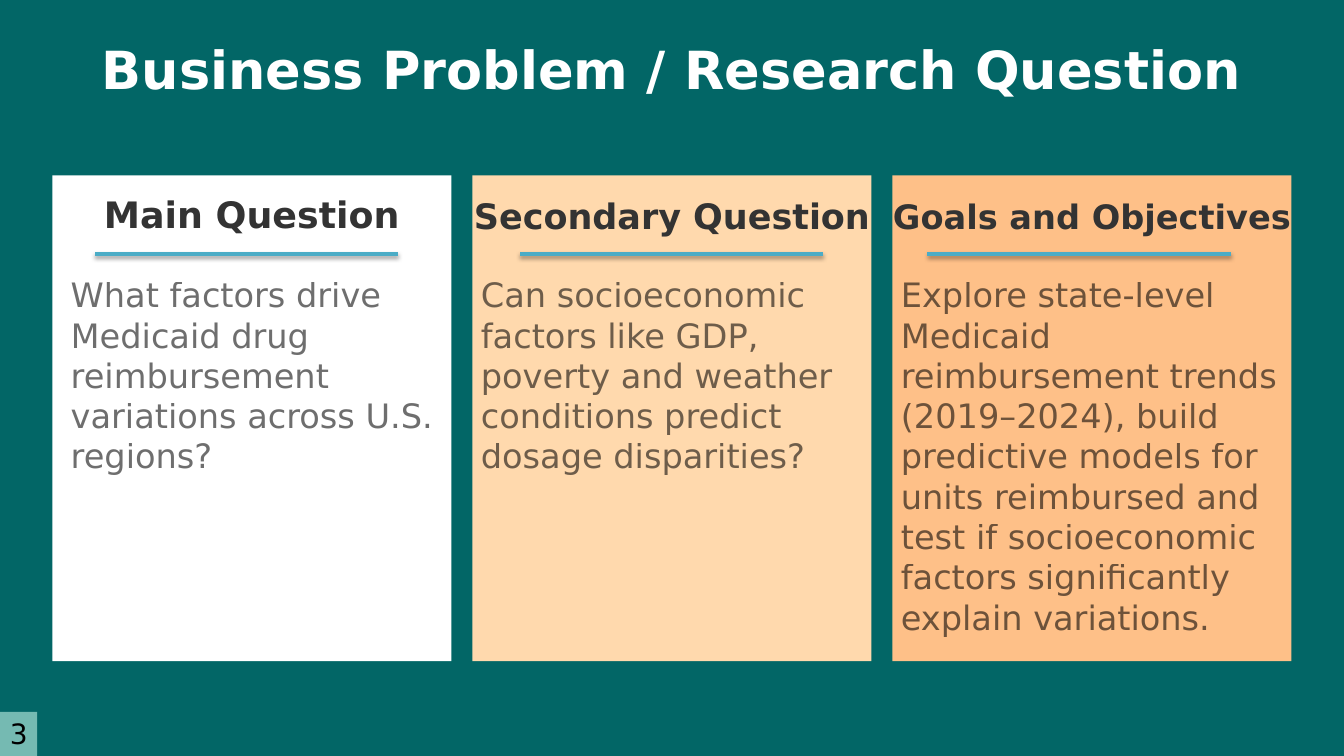
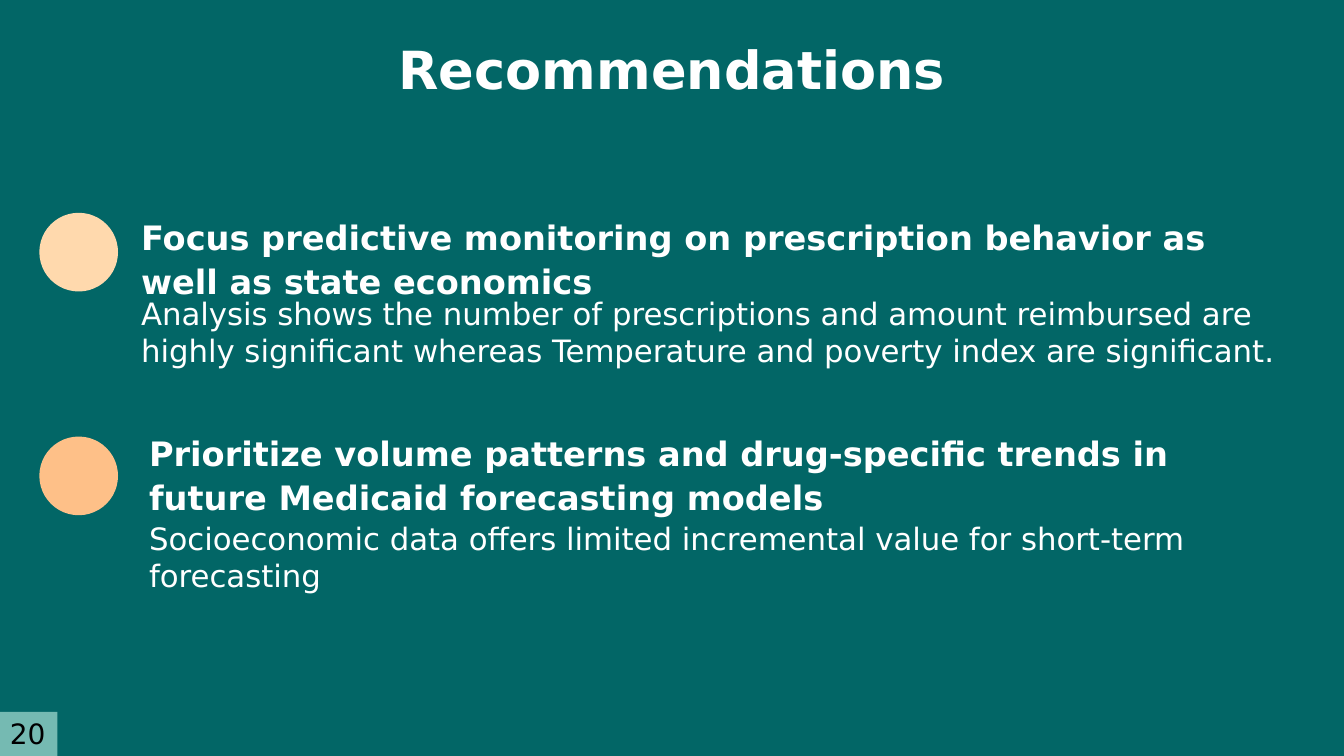
"""Build the research question and recommendations slides."""
from lxml.etree import SubElement
from pptx import Presentation
from pptx.dml.color import RGBColor
from pptx.enum.shapes import MSO_CONNECTOR, MSO_SHAPE
from pptx.enum.text import PP_ALIGN
from pptx.oxml.ns import qn
from pptx.util import Pt

FONT = "DejaVu Sans"
WIDTH, HEIGHT = 960, 540
COLORS = {
    "back": "026666", "white": "FFFFFF", "peach": "FFD9AD",
    "orange": "FEC088", "dark": "333333", "black": "000000",
    "rule": "4BACC6", "badge": "75BAB2",
}
PANEL_LEFT, PANEL_TOP, PANEL_WIDTH, PANEL_HEIGHT = 37.5, 125.3, 285, 347
PANEL_STEP = 300
RULE_TOP, RULE_WIDTH = 181.4, 216.5
DOT_LEFT, DOT_SIZE = 28.1, 56.2

PANELS = [
    ("white", "Main Question", 26, 13, 68,
     "What factors drive Medicaid drug reimbursement variations across "
     "U.S. regions?"),
    ("peach", "Secondary Question", 25, 6, 371.5,
     "Can socioeconomic factors like GDP, poverty and weather conditions "
     "predict dosage disparities?"),
    ("orange", "Goals and Objectives", 24, 6, 662.5,
     "Explore state-level Medicaid reimbursement trends (2019–2024), build "
     "predictive models for units reimbursed and test if socioeconomic "
     "factors significantly explain variations."),
]
ADVICE = [
    ("peach", 152, 100.8, 817, 152, 210.2,
     "Focus predictive monitoring on prescription behavior as well as state "
     "economics",
     "Analysis shows the number of prescriptions and amount reimbursed are "
     "highly significant whereas Temperature and poverty index are "
     "significant."),
    ("orange", 311.8, 106.5, 803, 306.7, 371.5,
     "Prioritize volume patterns and drug-specific trends in future Medicaid "
     "forecasting models",
     "Socioeconomic data offers limited incremental value for short-term "
     "forecasting"),
]


def paint(fill, color):
    fill.solid()
    fill.fore_color.rgb = RGBColor.from_string(COLORS[color])


def add_text(slide, box, text, size, color, bold=False, center=False,
             line=None, alpha=None):
    shape = slide.shapes.add_textbox(*map(Pt, box))
    frame = shape.text_frame
    frame.word_wrap = True
    frame.margin_left = frame.margin_right = 0
    frame.margin_top = frame.margin_bottom = 0
    frame.text = text
    para = frame.paragraphs[0]
    para.alignment = PP_ALIGN.CENTER if center else PP_ALIGN.LEFT
    if line:
        para.line_spacing = Pt(line)
    font = para.runs[0].font
    font.name, font.size, font.bold = FONT, Pt(size), bold
    paint(font.fill, color)
    if alpha:
        add_alpha(font._element.find(".//" + qn("a:srgbClr")), alpha)
    return shape


def add_alpha(node, percent):
    SubElement(node, qn("a:alpha"), val=str(percent * 1000))


def add_block(slide, kind, box, color):
    shape = slide.shapes.add_shape(kind, *map(Pt, box))
    shape.shadow.inherit = False
    paint(shape.fill, color)
    shape.line.fill.background()


def add_rule(slide, left):
    rule = slide.shapes.add_connector(
        MSO_CONNECTOR.STRAIGHT, Pt(left), Pt(RULE_TOP),
        Pt(left + RULE_WIDTH), Pt(RULE_TOP))
    rule.line.width = Pt(3)
    paint(rule.line.fill, "rule")
    effects = SubElement(rule._element.spPr, qn("a:effectLst"))
    shadow = SubElement(
        effects, qn("a:outerShdw"), blurRad=str(Pt(3.1)), dist=str(Pt(1.8)),
        dir="5400000", rotWithShape="0")
    add_alpha(SubElement(shadow, qn("a:srgbClr"), val=COLORS["black"]), 35)


def add_slide(deck, title, number, width):
    slide = deck.slides.add_slide(deck.slide_layouts[6])
    add_text(slide, (0, 28, WIDTH, 44), title, 37.5, "white", True, True, 43.6)
    badge = add_text(slide, (0, 508.5, width, 31.5), number, 20, "black")
    badge.text_frame.margin_left = Pt(7.2)
    badge.text_frame.margin_top = Pt(3.6)
    paint(badge.fill, "badge")
    return slide


def add_panel(slide, index, color, head, size, pad, rule, body):
    left = PANEL_LEFT + index * PANEL_STEP
    add_block(slide, MSO_SHAPE.RECTANGLE,
              (left, PANEL_TOP, PANEL_WIDTH, PANEL_HEIGHT), color)
    add_text(slide, (left, 139, PANEL_WIDTH, 29.5), head, size, "dark",
             True, True, 29.7)
    add_text(slide, (left + pad, 195.8, PANEL_WIDTH - 2 * pad, 267), body, 24,
             "black", alpha=56)
    add_rule(slide, rule)


def add_advice(slide, color, dot, left, width, top, low, head, body):
    add_block(slide, MSO_SHAPE.OVAL, (DOT_LEFT, dot, DOT_SIZE, DOT_SIZE), color)
    add_text(slide, (left, top, width, 54), head, 24, "white", True, line=31.4)
    add_text(slide, (left, low, width, 54), body, 22, "white")


def main():
    deck = Presentation()
    deck.slide_width, deck.slide_height = Pt(WIDTH), Pt(HEIGHT)
    paint(deck.slide_master.background.fill, "back")
    slide = add_slide(deck, "Business Problem / Research Question", "3", 26.5)
    for index, panel in enumerate(PANELS):
        add_panel(slide, index, *panel)
    slide = add_slide(deck, "Recommendations", "20", 41)
    for item in ADVICE:
        add_advice(slide, *item)
    deck.save("out.pptx")


if __name__ == "__main__":
    main()
